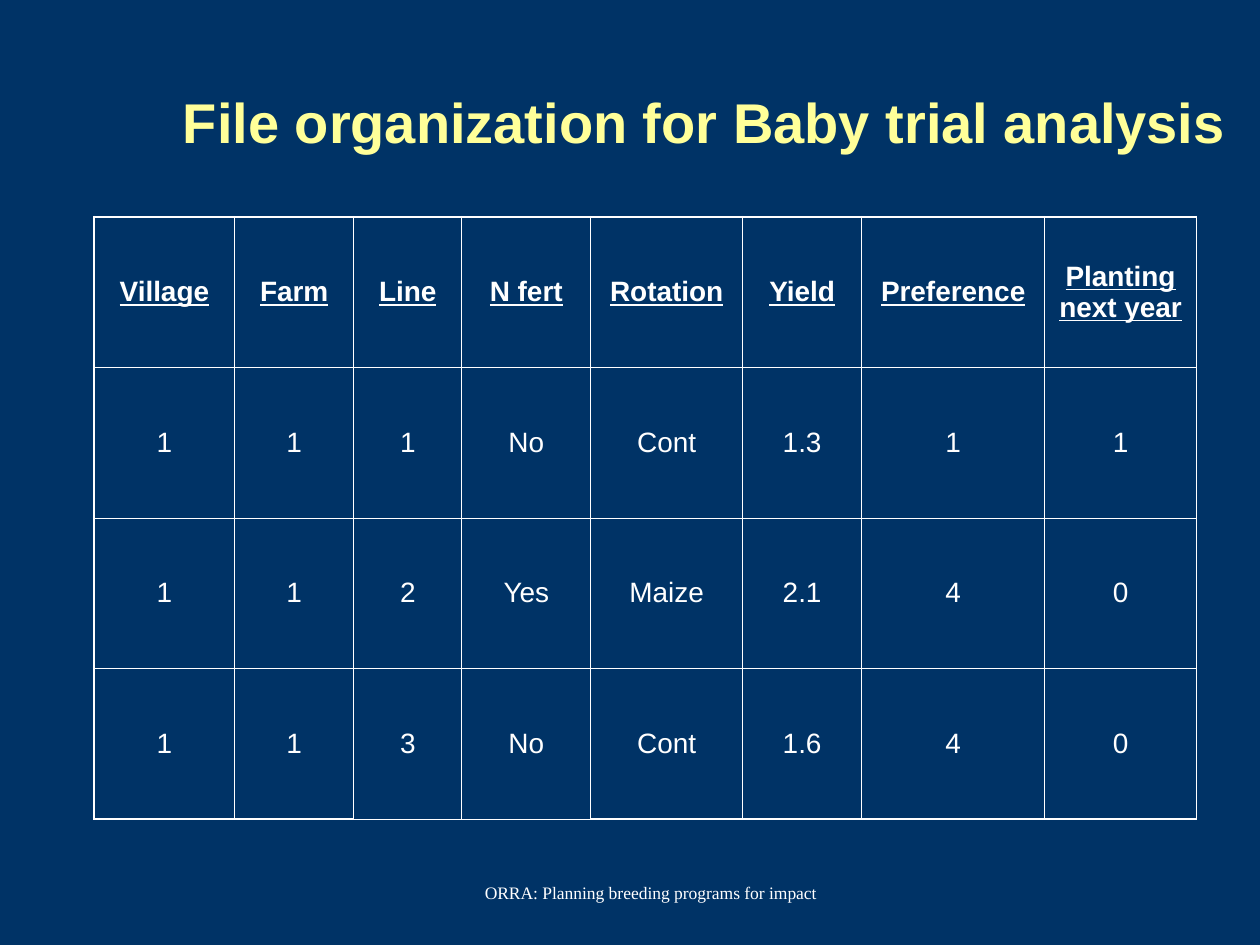
from dataclasses import dataclass

from lxml.etree import SubElement
from pptx import Presentation
from pptx.dml.color import RGBColor
from pptx.enum.text import MSO_ANCHOR, PP_ALIGN
from pptx.oxml.ns import qn
from pptx.util import Cm, Pt


@dataclass(frozen=True)
class Theme:
    background: str = "003366"
    title: str = "FFFF99"
    body: str = "FFFFFF"
    sans: str = "Arial"
    serif: str = "Times New Roman"
    title_size: int = 32
    table_size: int = 16
    footer_size: int = 10
    outer_line: float = 1.08
    inner_line: float = 0.45


theme = Theme()


def write(holder, text, font_name, size, color, align, bold=False, underline=False):
    frame = holder.text_frame
    frame.text = text
    frame.word_wrap = True
    para = frame.paragraphs[0]
    para.alignment = align
    font = para.runs[0].font
    font.name = font_name
    font.size = Pt(size)
    font.bold = bold
    font.underline = underline
    font.color.rgb = RGBColor.from_string(color)
    return para


def draw_border(cell, side, width):
    line = SubElement(cell._tc.get_or_add_tcPr(), qn(f"a:ln{side}"), w=str(Pt(width)))
    fill = SubElement(line, qn("a:solidFill"))
    SubElement(fill, qn("a:srgbClr"), val=theme.body)


deck = Presentation()
deck.slide_width = Cm(25.4)
deck.slide_height = Cm(19.05)
page = deck.slides.add_slide(deck.slide_layouts[6])
page.background.fill.solid()
page.background.fill.fore_color.rgb = RGBColor.from_string(theme.background)

trial_rows = [
    ["Village", "Farm", "Line", "N fert", "Rotation", "Yield", "Preference", "Planting next year"],
    ["1", "1", "1", "No", "Cont", "1.3", "1", "1"],
    ["1", "1", "2", "Yes", "Maize", "2.1", "4", "0"],
    ["1", "1", "3", "No", "Cont", "1.6", "4", "0"],
]
column_widths = [2.83, 2.4, 2.18, 2.6, 3.06, 2.4, 3.69, 3.06]
thin_bottom_columns = {2, 3}
last_row = len(trial_rows) - 1
last_column = len(column_widths) - 1

table = page.shapes.add_table(
    len(trial_rows), len(column_widths), Cm(1.9), Cm(4.37), Cm(sum(column_widths)), Cm(12.14)
).table
table.first_row = False
table.horz_banding = False
for column, width in zip(table.columns, column_widths):
    column.width = Cm(width)

for row_index, values in enumerate(trial_rows):
    is_header = row_index == 0
    for column_index, value in enumerate(values):
        cell = table.cell(row_index, column_index)
        cell.vertical_anchor = MSO_ANCHOR.MIDDLE
        outer_sides = {
            "L": column_index == 0,
            "R": column_index == last_column,
            "T": is_header,
            "B": row_index == last_row and column_index not in thin_bottom_columns,
        }
        for side, is_outer in outer_sides.items():
            draw_border(cell, side, theme.outer_line if is_outer else theme.inner_line)
        cell.fill.background()
        para = write(cell, value, theme.sans, theme.table_size, theme.body,
                     PP_ALIGN.CENTER, bold=is_header, underline=is_header)
        para.space_before = Pt(4)

title_box = page.shapes.add_textbox(Cm(3.39), Cm(0.85), Cm(21.59), Cm(3.18))
title_box.text_frame.vertical_anchor = MSO_ANCHOR.MIDDLE
write(title_box, "File organization for Baby trial analysis", theme.sans,
      theme.title_size, theme.title, PP_ALIGN.RIGHT, bold=True)

footer_box = page.shapes.add_textbox(Cm(7.41), Cm(17.36), Cm(10.8), Cm(1.27))
footer_box.text_frame.vertical_anchor = MSO_ANCHOR.MIDDLE
footer_box.text_frame.margin_left = Cm(0.86)
write(footer_box, "ORRA: Planning breeding programs for impact", theme.serif,
      theme.footer_size, theme.body, PP_ALIGN.CENTER)

deck.save("out.pptx")
